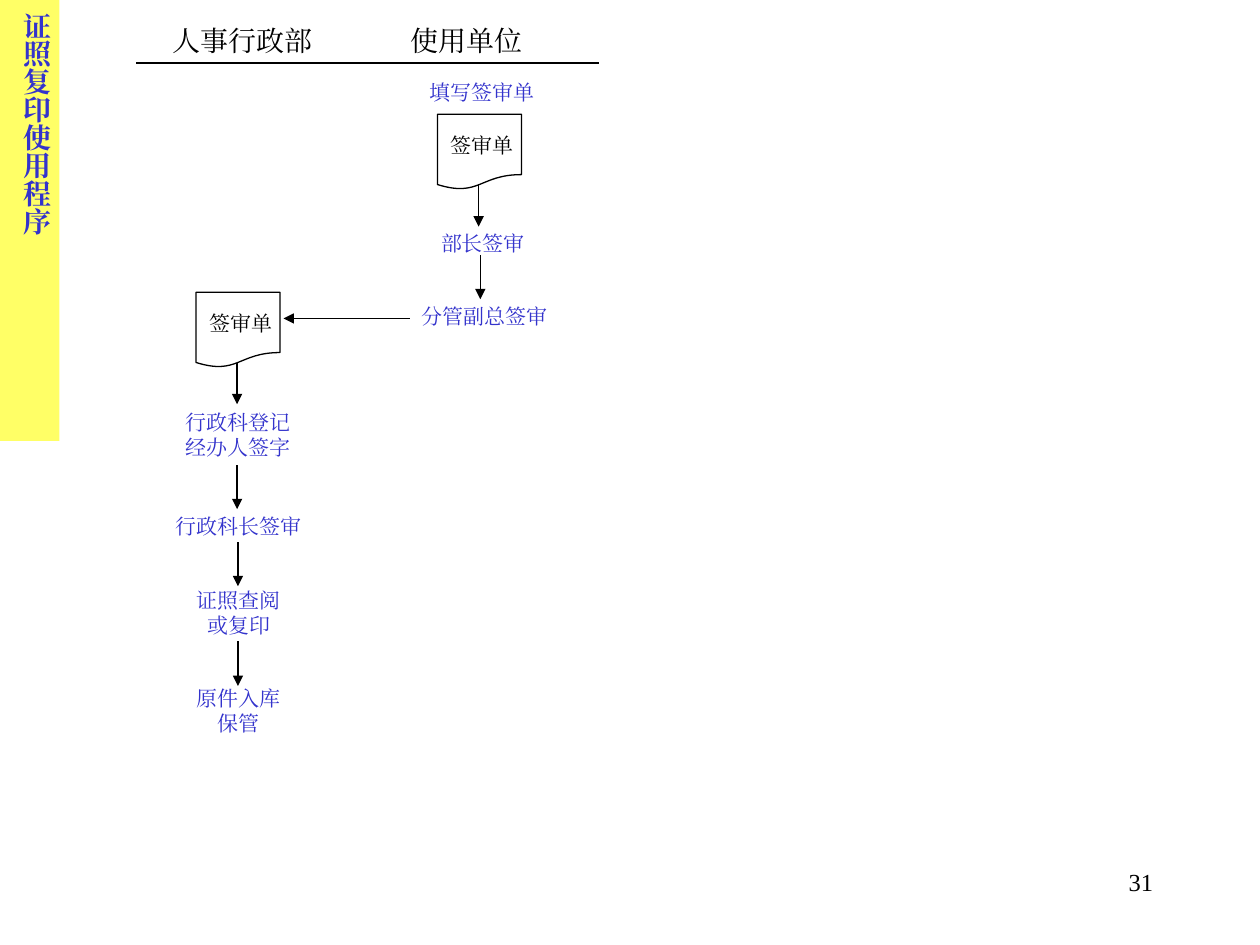
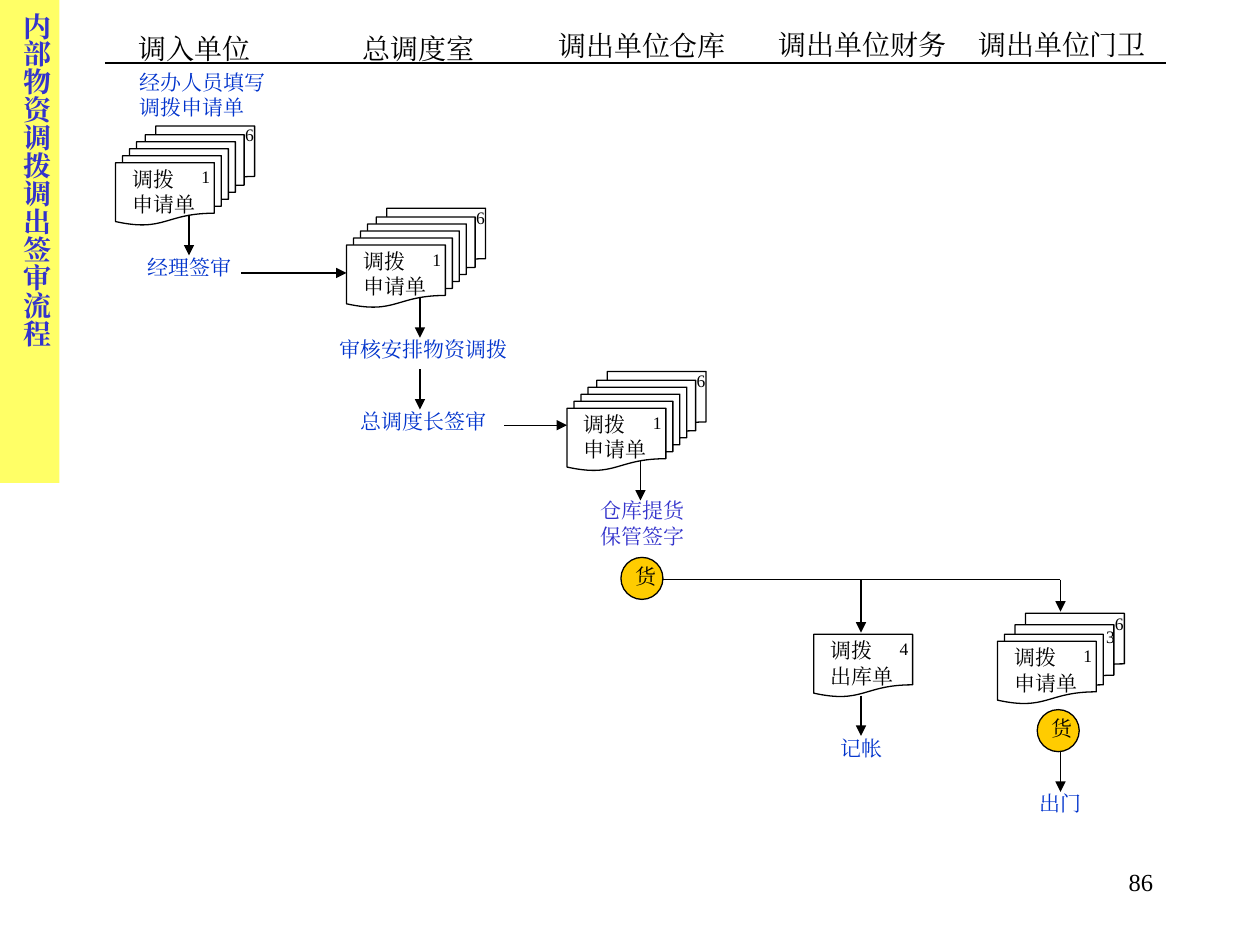
"""Build two flow charts: copying of licences and internal transfer of goods."""
from dataclasses import dataclass

from lxml import etree
from pptx import Presentation
from pptx import util as u
from pptx.dml.color import RGBColor
from pptx.enum import shapes, text
from pptx.oxml.ns import qn


@dataclass(frozen=True)
class Theme:
    font: str = "Times New Roman"
    ink: str = "000000"
    paper: str = "FFFFFF"
    band: str = "FFFF66"
    title: str = "3333CC"
    step: str = "0033CC"
    goods: str = "FFCC00"
    head: int = 16
    page: int = 14
    body: int = 12
    mark: int = 10
    line: float = 0.75


T = Theme()
LEFT, MID = text.PP_ALIGN.LEFT, text.PP_ALIGN.CENTER
RIGHT, FULL = text.PP_ALIGN.RIGHT, text.PP_ALIGN.JUSTIFY
DOC = shapes.MSO_SHAPE.FLOWCHART_DOCUMENT
DISC, RECT = shapes.MSO_SHAPE.OVAL, shapes.MSO_SHAPE.RECTANGLE


def put(slide, box, words="", size=T.body, color=T.ink, align=LEFT,
        kind=None, fill=T.paper, edge=True, bold=False, pitch=None):
    """Add a text box, or a filled shape when a kind is given."""
    area = [u.Pt(n) for n in box]
    if kind is None:
        item = slide.shapes.add_textbox(*area)
    else:
        item = slide.shapes.add_shape(kind, *area)
        item.shadow.inherit = False
        item.fill.solid()
        item.fill.fore_color.rgb = RGBColor.from_string(fill)
        if edge:
            item.line.color.rgb = RGBColor.from_string(T.ink)
            item.line.width = u.Pt(T.line)
        else:
            item.line.fill.background()
    if words:
        frame = item.text_frame
        frame.text = words
        frame.word_wrap = True
        frame.vertical_anchor = text.MSO_ANCHOR.TOP
        para = frame.paragraphs[0]
        para.alignment = align
        if pitch:
            para.line_spacing = pitch
        for run in para.runs:
            run.font.size = u.Pt(size)
            run.font.bold = bold
            run.font.name = T.font
            run.font.color.rgb = RGBColor.from_string(color)
            east = etree.SubElement(run.font._element, qn("a:ea"))
            east.set("typeface", T.font)
    return item


def link(slide, ends, arrow=True):
    """Add a straight line, with an arrowhead at its end if wanted."""
    wire = slide.shapes.add_connector(
        shapes.MSO_CONNECTOR.STRAIGHT, *[u.Pt(n) for n in ends])
    wire.line.color.rgb = RGBColor.from_string(T.ink)
    wire.line.width = u.Pt(T.line)
    if arrow:
        tip = etree.SubElement(wire.line._get_or_add_ln(), qn("a:tailEnd"))
        tip.set("type", "triangle")
    etree.SubElement(wire._element.spPr, qn("a:effectLst"))


deck = Presentation()
deck.slide_width, deck.slide_height = u.Pt(720), u.Pt(540)

pair = []
for title, tall, start, end, page in [
    ("证照复印使用程序", 252, 78, 342, "31"),
    ("内部物资调拨调出签审流程", 276, 60, 666, "86"),
]:
    slide = deck.slides.add_slide(deck.slide_layouts[6])
    band = put(slide, (0, 0, 34, tall), title, T.head, T.title, FULL,
               RECT, T.band, edge=False, bold=True)
    band.text_frame._txBody.bodyPr.set("vert", "eaVert")
    link(slide, (start, 36, end, 36), arrow=False)
    put(slide, (516, 492, 150, 36), page, T.page, align=RIGHT)
    pair.append(slide)
permit, move = pair

for x, words in [(91.5, "人事行政部"), (227.7, "使用单位")]:
    put(permit, (x, 13.5, 110, 22.5), words, T.head, pitch=0.8)

for ends in [
    (273.5, 104.5, 273.5, 129.5),
    (274.5, 146, 274.5, 171),
    (234, 182, 162, 182),
    (135.5, 206, 135.5, 231),
    (135.5, 266, 135.5, 291),
    (136, 310, 136, 335),
    (136, 366.5, 136, 392),
]:
    link(permit, ends)

for x, y in [(250, 65.3), (112, 167)]:
    put(permit, (x, y, 48, 43), kind=DOC)
    put(permit, (x - 1.5, y + 9.5, 54, 19), "签审单", align=MID, pitch=0.8)

for x, y, wide, words in [
    (230.5, 41.8, 90, "填写签审单"),
    (231, 128.3, 90, "部长签审"),
    (232, 169.8, 90, "分管副总签审"),
    (95.5, 230.5, 81, "行政科登记经办人签字"),
    (88.5, 290, 96, "行政科长签审"),
    (100.5, 332, 72, "证照查阅或复印"),
    (100, 388.3, 73, "原件入库保管"),
]:
    put(permit, (x, y, wide, 22), words, color=T.title, align=MID)

for x, y, words in [
    (72, 14.5, "调入单位"),
    (200, 14.5, "总调度室"),
    (312, 13, "调出单位仓库"),
    (438, 12.2, "调出单位财务"),
    (552, 12.2, "调出单位门卫"),
]:
    put(move, (x, y, 120, 26.5), words, T.head)

six = [(23, -21), (17, -16), (12, -12), (8, -8), (4, -4), (0, 0)]
four = [(16, -16), (10, -9.5), (4, -4), (0, 0)]
first, last = ("1", 42, -1.5), ("6", 67, -25.5)
for x, y, name, sheets, marks in [
    (66, 93, "申请单", six, [first, last]),
    (198, 140, "申请单", six, [first, last]),
    (324, 233.3, "申请单", six, [first, last]),
    (465, 362.5, "出库单", [(0, 0)], [("4", 42, -1.5)]),
    (570, 366.5, "申请单", four, [first, ("3", 55, -12.5), ("6", 60, -20)]),
]:
    for right, down in sheets:
        put(move, (x + right, y + down, 56.5, 36), kind=DOC)
    put(move, (x + 2.5, y - 1.5, 54, 36), "调拨\v" + name)
    for mark, right, down in marks:
        put(move, (x + right, y + down, 18, 19), mark, T.mark)

for x, y in [(354.8, 318.5), (592.7, 405.5)]:
    put(move, (x, y, 24, 24), kind=DISC, fill=T.goods)
    put(move, (x + 1, y - 0.2, 24, 22), "货")

link(move, (378, 331.3, 606, 331.3), arrow=False)
for ends in [
    (108, 123, 108, 146),
    (138, 156, 198, 156),
    (240, 170, 240, 193),
    (240, 211, 240, 234),
    (288, 243, 324, 243),
    (366, 263.5, 366, 286),
    (492, 331.3, 492, 361.5),
    (492, 397.5, 492, 420.5),
    (606, 331.3, 606, 349.5),
    (606, 429.5, 606, 452.5),
]:
    link(move, ends)

for x, y, wide, words, color, align in [
    (72.5, 36, 89, "经办人员填写调拨申请单", T.step, LEFT),
    (77, 142, 66, "经理签审", T.step, LEFT),
    (184, 188.8, 116, "审核安排物资调拨", T.step, MID),
    (184, 230, 116, "总调度长签审", T.step, MID),
    (334, 281, 66, "仓库提货保管签字", T.title, MID),
    (465.5, 416.5, 54, "记帐", T.step, MID),
    (579, 448.3, 54, "出门", T.step, MID),
]:
    put(move, (x, y, wide, 22), words, color=color, align=align)

deck.save("out.pptx")
